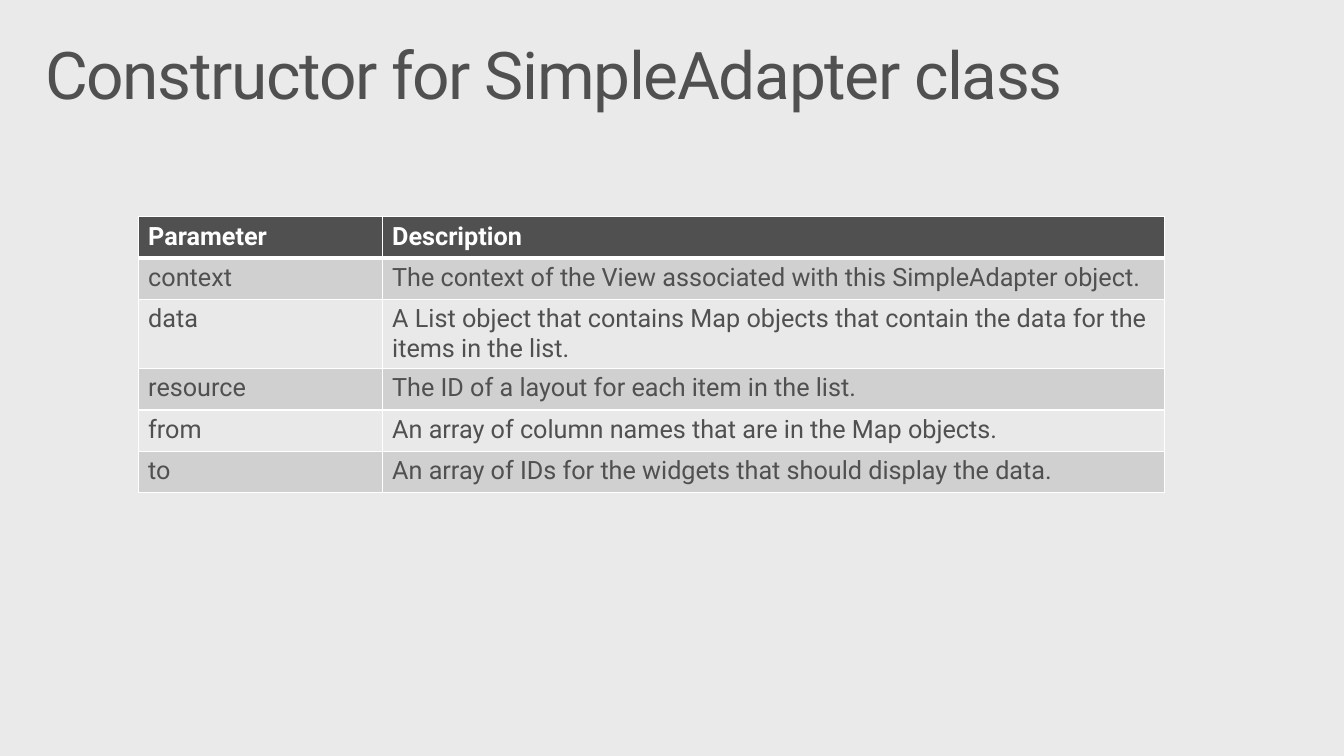
from dataclasses import dataclass

from lxml.etree import SubElement
from pptx import Presentation
from pptx.dml.color import RGBColor
from pptx.enum.text import MSO_ANCHOR, MSO_AUTO_SIZE, PP_ALIGN
from pptx.oxml.ns import qn
from pptx.slide import Slide
from pptx.table import _Cell
from pptx.util import Inches, Pt

FONT = "Roboto"
COLORS = {
    "background": "EAEAEA",
    "dark": "505050",
    "white": "FFFFFF",
    "band": "D0D0D0",
    "plain": "E9E9E9",
}


@dataclass(frozen=True)
class Parameter:
    """One table row: a constructor parameter and its description."""
    name: str
    description: str


HEADER = Parameter("Parameter", "Description")
PARAMETERS = [
    Parameter("context", "The context of the View associated with this SimpleAdapter object."),
    Parameter("data", "A List object that contains Map objects that contain "
                      "the data for the items in the list."),
    Parameter("resource", "The ID of a layout for each item in the list."),
    Parameter("from", "An array of column names that are in the Map objects."),
    Parameter("to", "An array of IDs for the widgets that should display the data."),
]


def rgb(name: str) -> RGBColor:
    """Return the named colour."""
    return RGBColor.from_string(COLORS[name])


def add_title(s: Slide, text: str) -> None:
    """Place and format the title placeholder."""
    sp = s.shapes.title
    sp.left, sp.top = Inches(0.29), Inches(0.32)
    sp.width, sp.height = Inches(12.75), Inches(0.98)
    tf = sp.text_frame
    tf.margin_left = tf.margin_right = Inches(0.16)
    tf.margin_top = tf.margin_bottom = Inches(0.1)
    tf.vertical_anchor = MSO_ANCHOR.TOP
    tf.auto_size = MSO_AUTO_SIZE.NONE
    tf.word_wrap = True
    p = tf.paragraphs[0]
    p.alignment = PP_ALIGN.LEFT
    p.line_spacing = 0.9
    r = p.add_run()
    r.text = text
    r.font.name, r.font.size = FONT, Pt(47)
    r.font.color.rgb = rgb("dark")
    r.font._element.set("spc", "-100")


def set_borders(cell: _Cell, top: float, bottom: float) -> None:
    """Draw white cell borders, with 1 pt sides and the given top and bottom."""
    tc_pr = cell._tc.get_or_add_tcPr()
    for side, width in zip("LRTB", (1, 1, top, bottom)):
        ln = SubElement(tc_pr, qn(f"a:ln{side}"), w=str(Pt(width)))
        fill = SubElement(ln, qn("a:solidFill"))
        SubElement(fill, qn("a:srgbClr"), val=COLORS["white"])


def fill_cell(cell: _Cell, text: str, row: int) -> None:
    """Write one cell and style it by its row number."""
    header = row == 0
    set_borders(cell, top=3 if row == 1 else 1, bottom=3 if header else 1)
    cell.fill.solid()
    cell.fill.fore_color.rgb = rgb("dark" if header else "band" if row % 2 else "plain")
    p = cell.text_frame.paragraphs[0]
    p.text = text
    p.font.name, p.font.size, p.font.bold = FONT, Pt(18), header
    p.font.color.rgb = rgb("white" if header else "dark")


def add_parameter_table(s: Slide) -> None:
    """Add the table of constructor parameters."""
    rows = [HEADER, *PARAMETERS]
    row_height = Inches(0.41)
    table = s.shapes.add_table(len(rows), 2, Inches(1.37), Inches(2.15),
                               Inches(10.18), row_height * len(rows)).table
    for column, width in zip(table.columns, (2.42, 7.76)):
        column.width = Inches(width)
    for i, parameter in enumerate(rows):
        table.rows[i].height = row_height
        for j, text in enumerate((parameter.name, parameter.description)):
            fill_cell(table.cell(i, j), text, i)


def main() -> None:
    """Build and save the slide."""
    prs = Presentation()
    prs.slide_width, prs.slide_height = Inches(13.33), Inches(7.5)
    s = prs.slides.add_slide(prs.slide_layouts.get_by_name("Title Only"))
    s.background.fill.solid()
    s.background.fill.fore_color.rgb = rgb("background")
    add_title(s, "Constructor for SimpleAdapter class")
    add_parameter_table(s)
    prs.save("out.pptx")


main()
